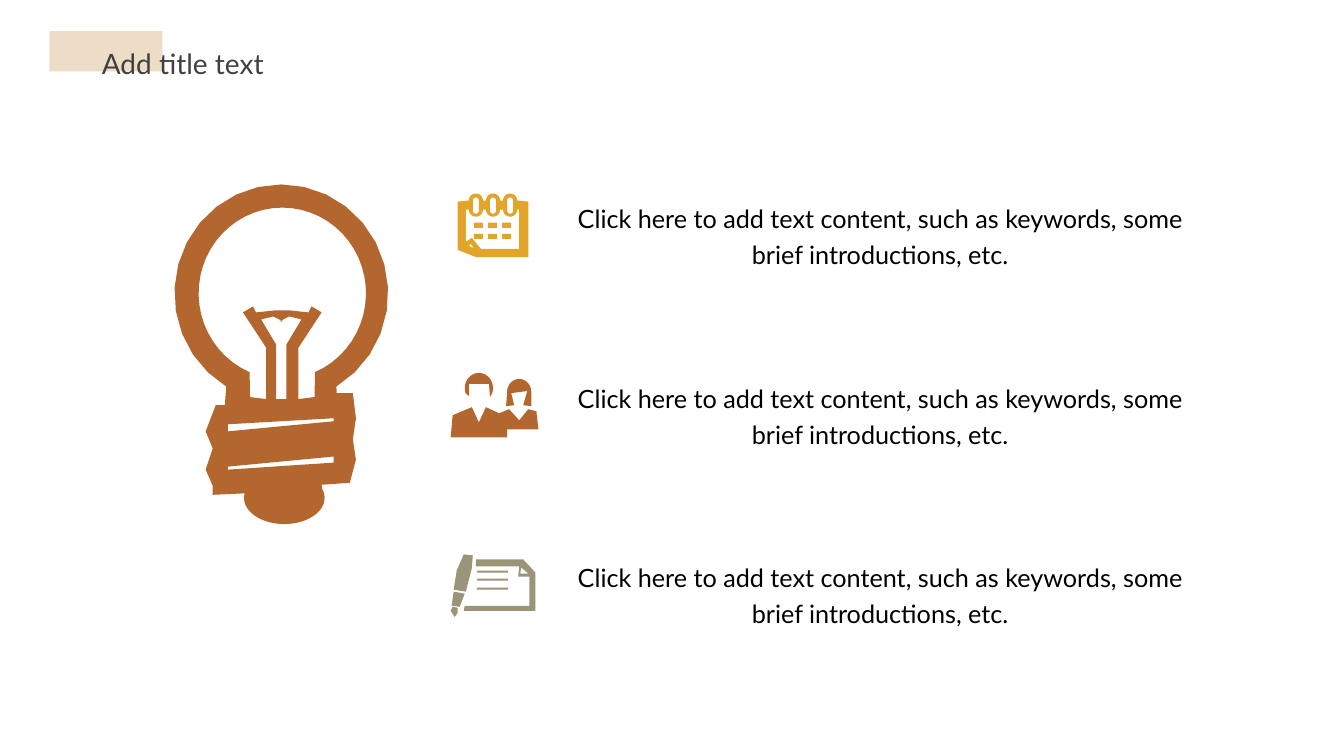
from math import cos, radians, sin

from pptx import Presentation
from pptx.dml.color import RGBColor
from pptx.enum.shapes import MSO_SHAPE
from pptx.enum.text import MSO_ANCHOR, MSO_AUTO_SIZE, PP_ALIGN
from pptx.util import Pt

PX = 9144  # EMU per px, 100 px to the inch
SLIDE_SIZE = (1333, 750)
ARC_STEPS = 24

SAND = RGBColor(0xED, 0xDD, 0xC6)
RUST = RGBColor(0xB3, 0x67, 0x2E)
KHAKI = RGBColor(0x9A, 0x94, 0x79)
GOLD = RGBColor(0xE2, 0xA5, 0x2A)
GRAPHITE = RGBColor(0x40, 0x40, 0x40)
BLACK = RGBColor(0, 0, 0)

TITLE = "Add title text"
ENTRY = "Click here to add text content, such as keywords, some brief introductions, etc."
ENTRY_COUNT = 3

ACCENT_BOX = (49, 31, 112, 40)
TITLE_BOX = (91, 24, 350, 55)
ENTRY_BOX = (560, 191, 626, 122)
ENTRY_STEP = 178

FRAME_FORMAT = {"word_wrap": True, "vertical_anchor": MSO_ANCHOR.TOP}
TITLE_FORMAT = {"alignment": PP_ALIGN.JUSTIFY, "line_spacing": 1.5}
TITLE_FONT = {"name": "Lato", "size": Pt(20)}
ENTRY_FORMAT = {"alignment": PP_ALIGN.CENTER, "line_spacing": 1.2}
ENTRY_FONT = {"name": "Lato", "size": Pt(18)}

RING_CENTERS = (472, 489, 506)
DAY_LEFTS, DAY_TOPS, DAY_SIZE = (470, 484, 498), (221, 232), (9, 5)
LINE_TOPS, LINE_LEFT, LINE_SIZE = (566, 574, 583), 473, (31, 2)


def arc(x, y, rx, ry, start, end):
    """Points on an ellipse around (x, y), in degrees clockwise from the right."""
    angles = [radians(start + (end - start) * i / ARC_STEPS) for i in range(ARC_STEPS + 1)]
    return [(x + rx * cos(angle), y + ry * sin(angle)) for angle in angles]


def mirror(points, axis):
    """Close a right half with its reflection in the vertical line x = axis."""
    return points + [(2 * axis - x, y) for x, y in reversed(points)]


def rectangle(left, top, size):
    right, bottom = left + size[0], top + size[1]
    return [(left, top), (right, top), (right, bottom), (left, bottom)]


def bulb():
    glass_and_base = [
        *arc(279, 291, 106, 108, 121, 419), (334, 390), (350, 390), (353, 415), (350, 436),
        (353, 456), (347, 479), (319, 481), *arc(282, 494, 40, 26, -20, 190), (211, 491),
        (211, 482), (204, 466), (211, 445), (204, 428), (214, 402), (223, 402)]
    hollow = mirror([*arc(280, 291, 83, 85, -90, 67), (312, 394), (296, 396), (296, 345),
                     (319, 310), (309, 304), (306, 310), (287, 308)], 280)
    filament = mirror([(277, 319), (287, 314), (299, 317), (284, 342), (284, 396)], 279)
    threads = [[(226, 421), (331, 415), (331, 418), (226, 428)],
               [(226, 463), (331, 453), (331, 459), (226, 466)]]
    return [glass_and_base, hollow, filament, *threads]


def people():
    bodies = [(447, 434), (449, 412), (468, 404), (475, 419), (482, 404), (495, 410),
              (505, 406), (515, 417), (524, 406), (532, 408), (534, 426), (503, 426),
              (503, 434)]
    woman = [*arc(515, 389, 12, 13, 180, 360), (527, 403), (519, 402), (523, 388),
             (507, 390), (510, 402), (502, 403)]
    man = [*arc(475, 385, 14, 15, 160, 380), (486, 394), (485, 381), (465, 381), (465, 393)]
    return [bodies, woman, man]


def letter():
    pen = [(450, 585), (453, 566), (460, 550), (469, 551), (468, 564), (462, 587)]
    grip = [(450, 587), (461, 589), (456, 602), (448, 601)]
    nib = [(449, 602), (454, 603), (454, 608), (451, 612), (447, 606)]
    sheet = [(461, 601), (460, 606), (531, 606), (531, 568), (519, 555), (472, 555),
             (472, 562), (515, 562), (514, 572), (525, 572), (525, 601)]
    fold = [(524, 569), (516, 569), (517, 563)]
    lines = [rectangle(LINE_LEFT, top, LINE_SIZE) for top in LINE_TOPS]
    return [pen, grip, nib, sheet, fold, *lines]


def calendar():
    cover, page, holes = [(454, 200)], [], []
    for center in RING_CENTERS:
        cover += arc(center, 199, 7, 7, 180, 360)
        page = arc(center, 208, 7, 7, 0, 180) + page
        holes.append(arc(center, 199, 3, 3, 180, 360) + arc(center, 209, 3, 3, 0, 180))
    cover += [(524, 200), (524, 255), (472, 255), (454, 248)]
    page += [(462, 208), (462, 240), (468, 236), (477, 247), (515, 247), (515, 208)]
    corner = [(470, 246), (467, 242), (465, 244)]
    days = [rectangle(left, top, DAY_SIZE) for top in DAY_TOPS for left in DAY_LEFTS]
    return [cover, page, corner, *days, *holes]


ICONS = [(bulb, RUST), (people, RUST), (letter, KHAKI), (calendar, GOLD)]


def emu(values):
    return [round(value * PX) for value in values]


def paint(shape, color):
    shape.shadow.inherit = False
    shape.fill.solid()
    shape.fill.fore_color.rgb = color
    shape.line.fill.background()


def draw_icon(shapes, outlines, color):
    first, *others = [[emu(point) for point in outline] for outline in outlines]
    builder = shapes.build_freeform(*first[0], scale=1.0)
    builder.add_line_segments(first[1:], close=True)
    for points in others:
        builder.move_to(*points[0])
        builder.add_line_segments(points[1:], close=True)
    paint(builder.convert_to_shape(), color)


def apply(target, values):
    for name, value in values.items():
        setattr(target, name, value)


def write(shape, text, paragraph_format, font_format, color):
    frame = shape.text_frame
    frame.text = text
    apply(frame, FRAME_FORMAT)
    paragraph = frame.paragraphs[0]
    apply(paragraph, paragraph_format)
    font = paragraph.runs[0].font
    apply(font, font_format)
    font.color.rgb = color


def main():
    deck = Presentation()
    deck.slide_width, deck.slide_height = emu(SLIDE_SIZE)
    slide = deck.slides.add_slide(deck.slide_layouts.get_by_name("Title Only"))
    shapes = slide.shapes

    accent = shapes.add_shape(MSO_SHAPE.RECTANGLE, *emu(ACCENT_BOX))
    paint(accent, SAND)
    title = shapes.title
    apply(title, dict(zip(("left", "top", "width", "height"), emu(TITLE_BOX))))
    write(title, TITLE, TITLE_FORMAT, TITLE_FONT, GRAPHITE)
    title.text_frame.auto_size = MSO_AUTO_SIZE.SHAPE_TO_FIT_TEXT
    accent.element.addnext(title.element)

    for outlines, color in ICONS:
        draw_icon(shapes, outlines(), color)

    left, top, width, height = ENTRY_BOX
    for row in range(ENTRY_COUNT):
        entry = shapes.add_textbox(*emu((left, top + row * ENTRY_STEP, width, height)))
        write(entry, ENTRY, ENTRY_FORMAT, ENTRY_FONT, BLACK)

    deck.save("out.pptx")


if __name__ == "__main__":
    main()
